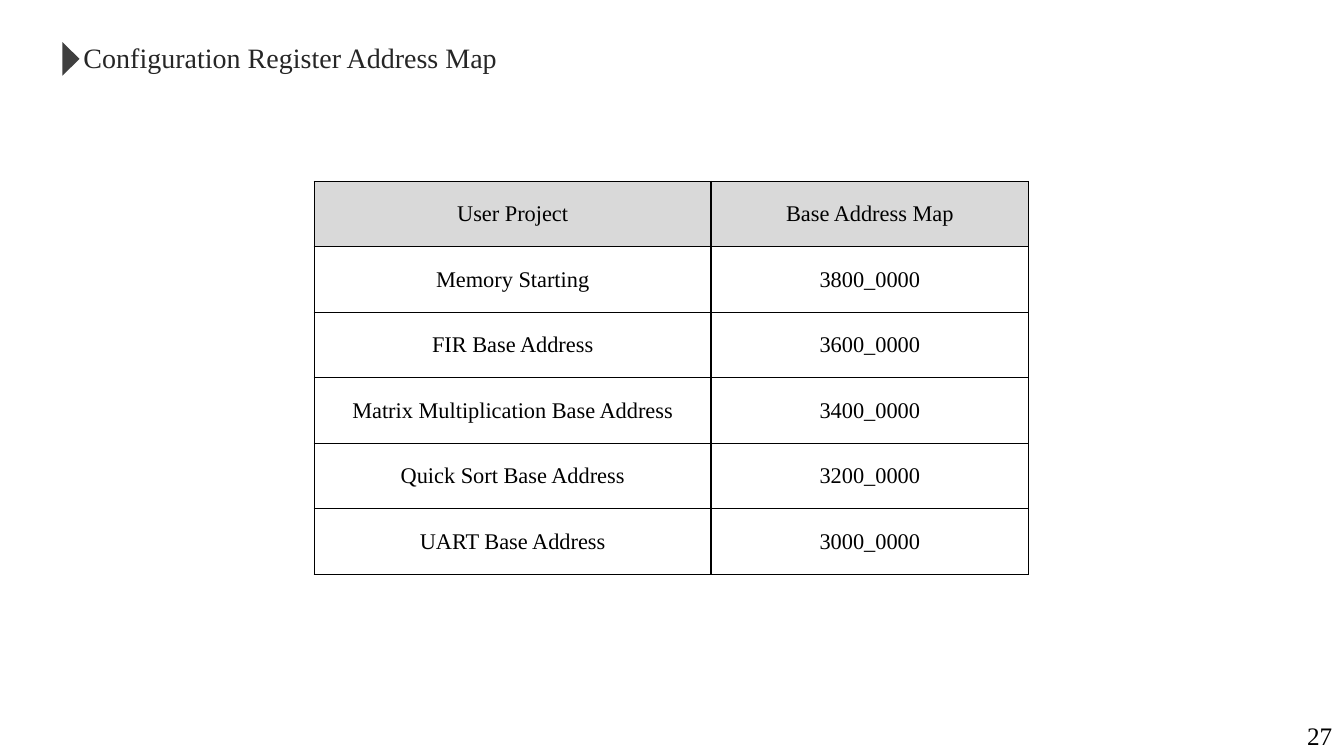
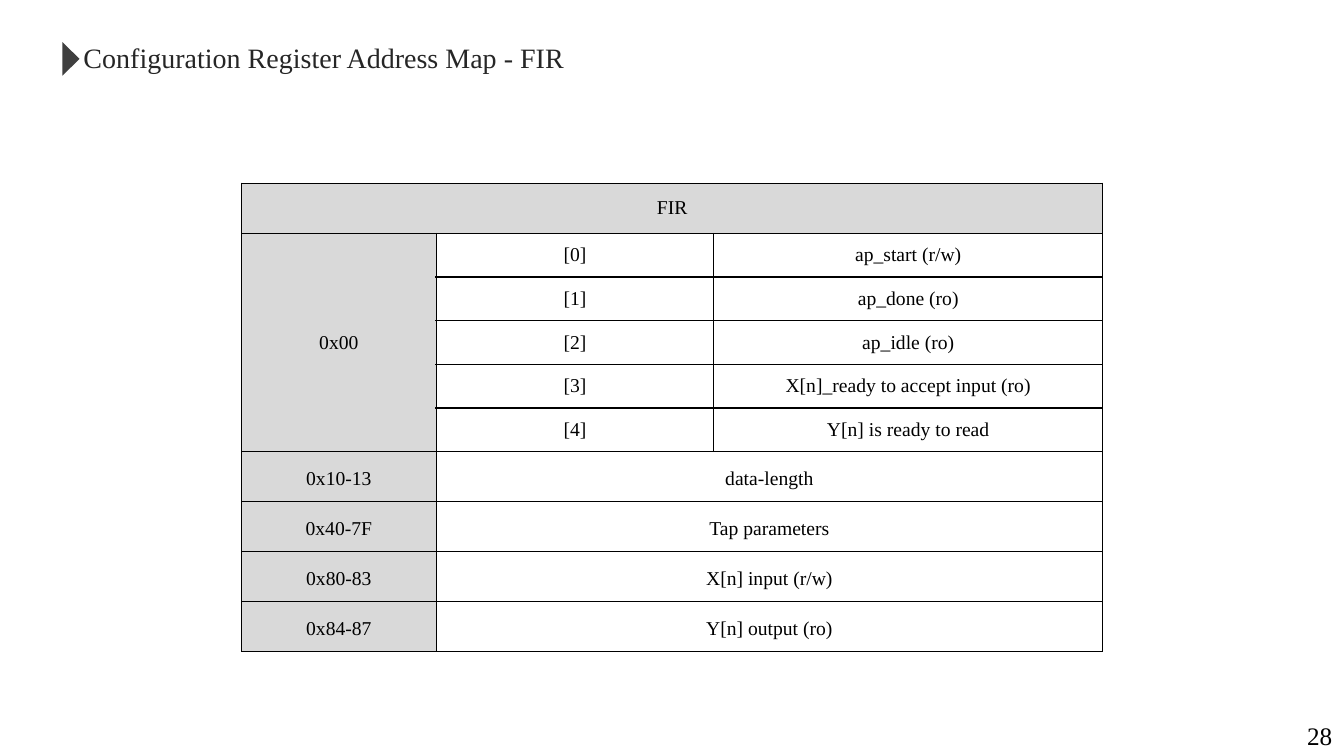
from dataclasses import dataclass

from lxml.etree import SubElement
from pptx import Presentation
from pptx.dml.color import RGBColor
from pptx.enum.shapes import MSO_SHAPE
from pptx.enum.text import MSO_ANCHOR, MSO_AUTO_SIZE, PP_ALIGN
from pptx.oxml.ns import qn
from pptx.presentation import Presentation as Deck
from pptx.slide import Slide
from pptx.table import _Cell as Cell
from pptx.text.text import _Paragraph as Paragraph
from pptx.util import Cm, Pt

FONT = "Times New Roman"
BLACK = "000000"
TITLE_COLOUR = "262626"
MARKER_COLOUR = "3F3F3F"
SHADE = "D9D9D9"
TITLE_ONLY_LAYOUT = 5
CELL_MARGIN = 0.19
BORDER_WIDTH = 1


@dataclass(frozen=True)
class Span:
    """Merged cells from the first to the last (row, column)."""
    first: tuple[int, int]
    last: tuple[int, int]


@dataclass(frozen=True)
class RegisterTable:
    """An address table; lengths are in centimetres, None is a covered cell."""
    left: float
    top: float
    column_widths: tuple[float, ...]
    row_heights: tuple[float, ...]
    rows: tuple[tuple[str | None, ...], ...]
    font_size: int
    shaded_columns: int = 0
    spans: tuple[Span, ...] = ()
    fixed_spacing_from: int | None = None


@dataclass(frozen=True)
class RegisterPage:
    title: str
    number: int
    table: RegisterTable


PAGES = (
    RegisterPage("Configuration Register Address Map", 27, RegisterTable(
        left=7.92, top=4.57,
        column_widths=(10, 8),
        row_heights=(1.65,) * 6,
        rows=(
            ("User Project", "Base Address Map"),
            ("Memory Starting", "3800_0000"),
            ("FIR Base Address", "3600_0000"),
            ("Matrix Multiplication Base Address", "3400_0000"),
            ("Quick Sort Base Address", "3200_0000"),
            ("UART Base Address", "3000_0000"),
        ),
        font_size=16,
    )),
    RegisterPage("Configuration Register Address Map - FIR", 28, RegisterTable(
        left=6.09, top=4.62,
        column_widths=(4.9, 7, 9.8),
        row_heights=(1.26,) + (1.1,) * 5 + (1.26,) * 4,
        rows=(
            ("FIR", None, None),
            ("0x00", "[0]", "ap_start (r/w)"),
            (None, "[1]", "ap_done (ro)"),
            (None, "[2]", "ap_idle (ro)"),
            (None, "[3]", "X[n]_ready to accept input (ro)"),
            (None, "[4]", "Y[n] is ready to read"),
            ("0x10-13", "data-length", None),
            ("0x40-7F", "Tap parameters", None),
            ("0x80-83", "X[n] input (r/w)", None),
            ("0x84-87", "Y[n] output (ro)", None),
        ),
        font_size=14,
        shaded_columns=1,
        spans=(Span((0, 0), (0, 2)), Span((1, 0), (5, 0)))
        + tuple(Span((row, 1), (row, 2)) for row in range(6, 10)),
        fixed_spacing_from=6,
    )),
)


def colour(value: str) -> RGBColor:
    return RGBColor.from_string(value)


def add_text(para: Paragraph, text: str, size: int, text_colour: str,
             alignment: PP_ALIGN = PP_ALIGN.CENTER) -> None:
    para.alignment = alignment
    span = para.add_run()
    span.text = text
    span.font.name = FONT
    span.font.size = Pt(size)
    span.font.bold = False
    span.font.color.rgb = colour(text_colour)


def add_title(page: Slide, text: str) -> None:
    """Fill the title placeholder and put the pointer in front of it."""
    title = page.shapes.title
    title.left, title.top, title.width, title.height = (
        Cm(1.85), Cm(0.89), Cm(20), Cm(1.12))
    frame = title.text_frame
    frame.word_wrap = True
    frame.auto_size = MSO_AUTO_SIZE.NONE
    frame.vertical_anchor = MSO_ANCHOR.TOP
    add_text(frame.paragraphs[0], text, 20, TITLE_COLOUR, PP_ALIGN.LEFT)

    marker = page.shapes.add_shape(
        MSO_SHAPE.ISOSCELES_TRIANGLE, Cm(1.37), Cm(1.27), Cm(0.84), Cm(0.43))
    marker.rotation = 90
    marker.shadow.inherit = False
    marker.fill.solid()
    marker.fill.fore_color.rgb = colour(MARKER_COLOUR)
    marker.line.fill.background()


def add_page_number(page: Slide, number: int) -> None:
    box = page.shapes.add_textbox(Cm(32.66), Cm(18.03), Cm(1.2), Cm(1.02))
    box.text_frame.word_wrap = True
    add_text(box.text_frame.paragraphs[0], str(number), 18, BLACK)


def draw_borders(cell: Cell) -> None:
    properties = cell._tc.get_or_add_tcPr()
    for side in ("a:lnL", "a:lnR", "a:lnT", "a:lnB"):
        line = SubElement(properties, qn(side), w=str(Pt(BORDER_WIDTH)))
        fill = SubElement(line, qn("a:solidFill"))
        SubElement(fill, qn("a:srgbClr"), val=BLACK)


def format_cell(cell: Cell, shaded: bool) -> None:
    cell.margin_left = cell.margin_right = Cm(CELL_MARGIN)
    cell.margin_top = cell.margin_bottom = 0
    cell.vertical_anchor = MSO_ANCHOR.MIDDLE
    draw_borders(cell)
    if shaded:
        cell.fill.solid()
        cell.fill.fore_color.rgb = colour(SHADE)
    else:
        cell.fill.background()


def add_register_table(page: Slide, design: RegisterTable) -> None:
    table = page.shapes.add_table(
        len(design.row_heights), len(design.column_widths),
        Cm(design.left), Cm(design.top),
        Cm(sum(design.column_widths)), Cm(sum(design.row_heights))).table
    table.first_row = False
    table.horz_banding = False
    for column, width in zip(table.columns, design.column_widths):
        column.width = Cm(width)
    for row, height in zip(table.rows, design.row_heights):
        row.height = Cm(height)
    for span in design.spans:
        table.cell(*span.first).merge(table.cell(*span.last))

    for row_index, texts in enumerate(design.rows):
        for column_index, text in enumerate(texts):
            cell = table.cell(row_index, column_index)
            format_cell(cell, row_index == 0 or column_index < design.shaded_columns)
            if text is None:
                continue
            para = cell.text_frame.paragraphs[0]
            add_text(para, text, design.font_size, BLACK)
            start = design.fixed_spacing_from
            if start is not None and row_index >= start:
                para.line_spacing = Pt(18)


def add_page(deck: Deck, content: RegisterPage) -> None:
    page = deck.slides.add_slide(deck.slide_layouts[TITLE_ONLY_LAYOUT])
    add_title(page, content.title)
    add_page_number(page, content.number)
    add_register_table(page, content.table)


def main() -> None:
    deck = Presentation()
    deck.slide_width, deck.slide_height = Cm(33.87), Cm(19.05)
    for content in PAGES:
        add_page(deck, content)
    deck.save("out.pptx")


if __name__ == "__main__":
    main()
